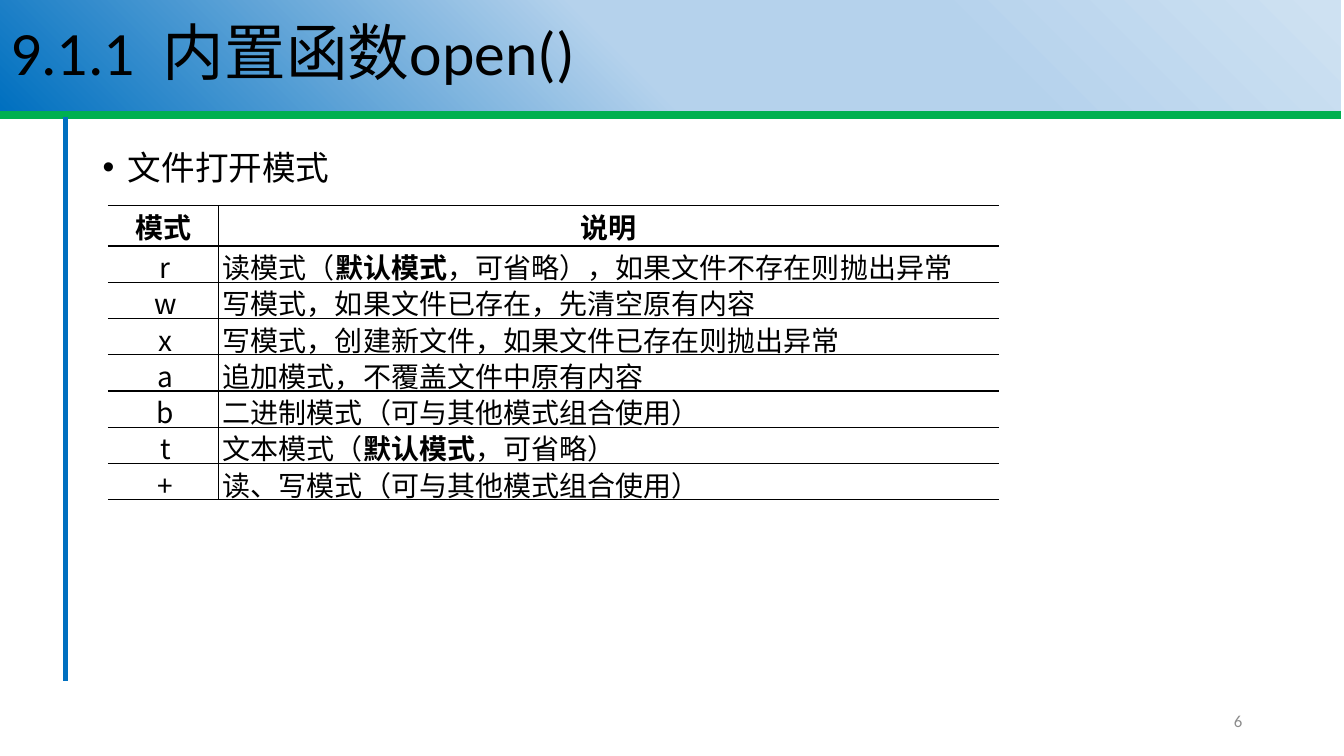
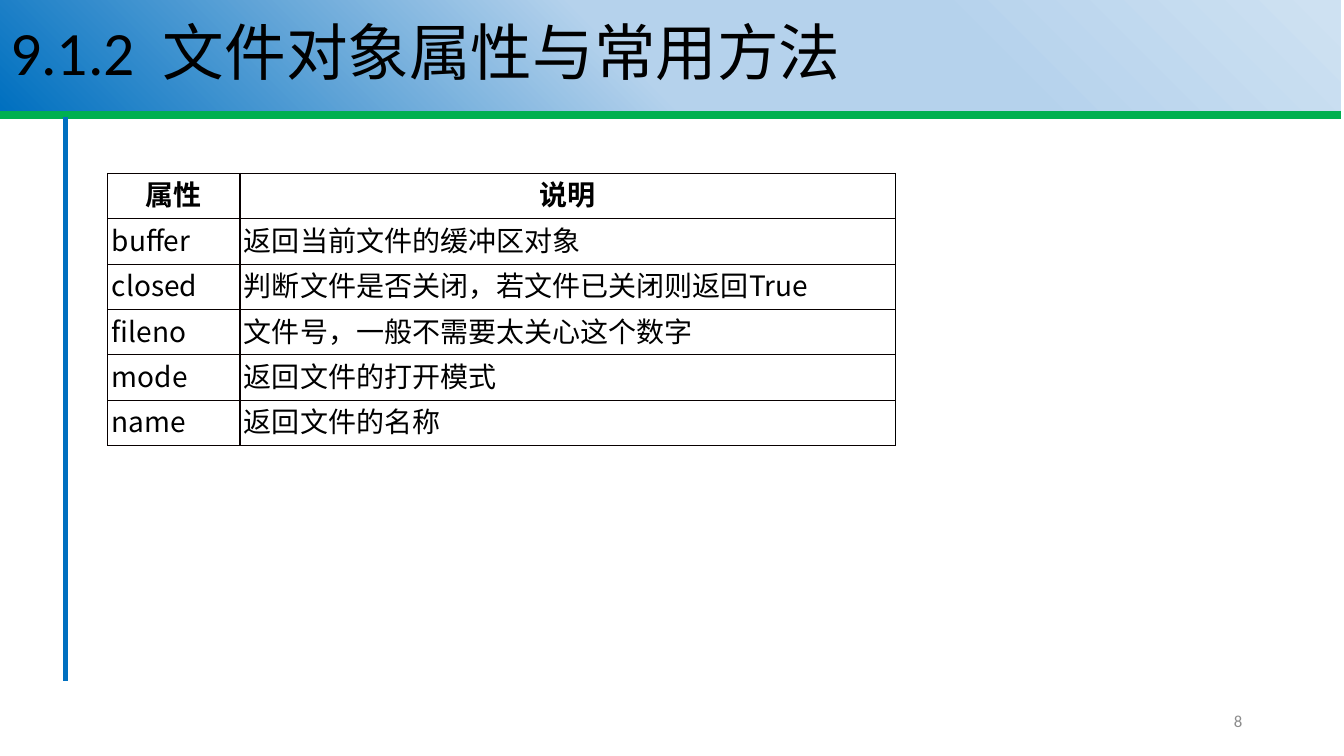
from lxml.etree import SubElement
from pptx import Presentation
from pptx.dml.color import RGBColor
from pptx.enum.shapes import MSO_CONNECTOR
from pptx.enum.text import MSO_ANCHOR, MSO_AUTO_SIZE, PP_ALIGN
from pptx.oxml import parse_xml
from pptx.oxml.ns import nsdecls, qn
from pptx.util import Inches, Pt

BLACK = RGBColor(0x00, 0x00, 0x00)
GRID = RGBColor(0x08, 0x00, 0x00)
GREY = RGBColor(0x8C, 0x8C, 0x8C)
GREEN = RGBColor(0x00, 0xB0, 0x50)
BLUE = RGBColor(0x00, 0x70, 0xC0)
SKY = RGBColor(0xB5, 0xD2, 0xEC)
PALE = RGBColor(0xCE, 0xE1, 0xF2)
BAND_STOPS = [(1, PALE), (29, SKY), (53, SKY), (100, BLUE)]
BAND_ANGLE = 135

LATIN, CJK = "Calibri", "Noto Sans CJK SC"
WIDTH, HEIGHT = 13.33, 7.5
TITLE_BOX = (0, 0, 13.3, 1.1)
NUMBER_BOX = (9.42, 6.95, 3, 0.4)


def style_run(r, size, color=BLACK, font=LATIN, bold=False):
    """Set the look of a run, with the CJK font for Chinese characters."""
    r.font.size, r.font.name, r.font.bold = Pt(size), font, bold
    r.font.color.rgb = color
    ea = SubElement(r.font._element, qn("a:ea"))
    ea.set("typeface", CJK)


def place(sp, box):
    """Move a shape to a box given in inches."""
    sp.left, sp.top, sp.width, sp.height = map(Inches, box)


def add_rule(s, start, end, color, width):
    """Draw a straight line without a shadow."""
    line = s.shapes.add_connector(MSO_CONNECTOR.STRAIGHT, *map(Inches, start + end))
    line.line.color.rgb, line.line.width = color, Pt(width)
    SubElement(line._element.spPr, qn("a:effectLst"))


def fill_band(sp):
    """Fill a shape with the gradient of the title band."""
    stops = "".join(
        f'<a:gs pos="{pos * 1000}"><a:srgbClr val="{color}"/></a:gs>'
        for pos, color in BAND_STOPS)
    sp._element.spPr.append(parse_xml(
        f'<a:gradFill {nsdecls("a")} rotWithShape="1"><a:gsLst>{stops}</a:gsLst>'
        f'<a:lin ang="{BAND_ANGLE * 60000}" scaled="0"/></a:gradFill>'))


def add_text(s, box, text, size, color=BLACK):
    """Add a one-paragraph text box and return its shape."""
    sp = s.shapes.add_textbox(*map(Inches, box))
    tf = sp.text_frame
    tf.word_wrap = True
    tf.text = text
    style_run(tf.paragraphs[0].runs[0], size, color)
    return sp


def add_titled_slide(prs, title, number):
    """Add a slide with the title band, the two rules and the slide number."""
    s = prs.slides.add_slide(prs.slide_layouts[5])
    sp = s.shapes.title
    place(sp, TITLE_BOX)
    fill_band(sp)
    tf = sp.text_frame
    tf.text = title
    tf.auto_size = MSO_AUTO_SIZE.NONE
    tf.vertical_anchor = MSO_ANCHOR.MIDDLE
    p = tf.paragraphs[0]
    p.alignment, p.line_spacing = PP_ALIGN.LEFT, 0.9
    style_run(p.runs[0], 44)

    add_rule(s, (0, 1.14), (13.3, 1.14), GREEN, 5.25)
    add_rule(s, (0.65, 1.16), (0.65, 6.76), BLUE, 3.75)

    tf = add_text(s, NUMBER_BOX, str(number), 12, GREY).text_frame
    tf.vertical_anchor = MSO_ANCHOR.MIDDLE
    tf.paragraphs[0].alignment = PP_ALIGN.RIGHT
    return s


def add_bullet(s, box, text):
    """Add a bulleted line at the top of the box."""
    p = add_text(s, box, text, 24).text_frame.paragraphs[0]
    p.line_spacing, p.space_before = 0.9, Pt(10)
    pPr = p._p.get_or_add_pPr()
    pPr.set("marL", str(Inches(0.25)))
    pPr.set("indent", str(-Inches(0.25)))
    SubElement(pPr, qn("a:buFont")).set("typeface", "Arial")
    SubElement(pPr, qn("a:buChar")).set("char", "•")


def set_borders(cell, borders):
    """Draw the sides named in borders as side: (colour, points); hide the rest."""
    tcPr = cell._tc.get_or_add_tcPr()
    for side in "LRTB":
        ln = SubElement(tcPr, qn(f"a:ln{side}"))
        if side in borders:
            color, width = borders[side]
            ln.set("w", str(Pt(width)))
            fill = SubElement(ln, qn("a:solidFill"))
            SubElement(fill, qn("a:srgbClr")).set("val", str(color))
        else:
            SubElement(ln, qn("a:noFill"))


def fill_cell(cell, text, header, centered, borders):
    """Write a cell; parts between ** marks are bold, and so is a header."""
    cell.margin_left = Inches(0 if header else 0.04)
    cell.margin_right = cell.margin_top = cell.margin_bottom = 0
    set_borders(cell, borders)
    cell.fill.background()
    p = cell.text_frame.paragraphs[0]
    p.alignment = PP_ALIGN.CENTER if header or centered else PP_ALIGN.LEFT
    for i, part in enumerate(text.split("**")):
        r = p.add_run()
        r.text = part
        style_run(r, 20, font=CJK, bold=header or i % 2 == 1)


def add_grid(s, left, top, widths, heights, rows, column_borders, center_keys=False):
    """Add a table with one set of borders for each column."""
    box = (left, top, sum(widths), sum(heights))
    table = s.shapes.add_table(len(rows), len(widths), *map(Inches, box)).table
    table.first_row = table.horz_banding = False
    for column, width in zip(table.columns, widths):
        column.width = Inches(width)
    for i, (row, height) in enumerate(zip(rows, heights)):
        table.rows[i].height = Inches(height)
        for j, text in enumerate(row):
            fill_cell(table.cell(i, j), text, i == 0,
                      center_keys and j == 0, column_borders[j])


def build_modes(prs):
    """Slide on the modes for opening a file."""
    rows = [
        ("模式", "说明"),
        ("r", "读模式（**默认模式**，可省略），如果文件不存在则抛出异常"),
        ("w", "写模式，如果文件已存在，先清空原有内容"),
        ("x", "写模式，创建新文件，如果文件已存在则抛出异常"),
        ("a", "追加模式，不覆盖文件中原有内容"),
        ("b", "二进制模式（可与其他模式组合使用）"),
        ("t", "文本模式（**默认模式**，可省略）"),
        ("+", "读、写模式（可与其他模式组合使用）"),
    ]
    s = add_titled_slide(prs, "9.1.1  内置函数open()", 6)
    add_bullet(s, (0.92, 1.45, 11.5, 5.07), "文件打开模式")
    edge = (BLACK, 1)
    borders = [dict.fromkeys("RTB", edge), dict.fromkeys("LTB", edge)]
    heights = [0.4] + [0.36] * (len(rows) - 1)
    add_grid(s, 1.07, 2.04, (1.1, 7.74), heights, rows, borders, center_keys=True)


def build_attributes(prs):
    """Slide on the attributes of file objects."""
    rows = [
        ("属性", "说明"),
        ("buffer", "返回当前文件的缓冲区对象"),
        ("closed", "判断文件是否关闭，若文件已关闭则返回True"),
        ("fileno", "文件号，一般不需要太关心这个数字"),
        ("mode", "返回文件的打开模式"),
        ("name", "返回文件的名称"),
    ]
    s = add_titled_slide(prs, "9.1.2  文件对象属性与常用方法", 8)
    box = dict.fromkeys("LRTB", (GRID, 1))
    borders = [box, {**box, "R": (BLACK, 0.75)}]
    add_grid(s, 1.07, 1.72, (1.31, 6.5), [0.45] * len(rows), rows, borders)


prs = Presentation()
prs.slide_width, prs.slide_height = Inches(WIDTH), Inches(HEIGHT)
build_modes(prs)
build_attributes(prs)
prs.save("out.pptx")
